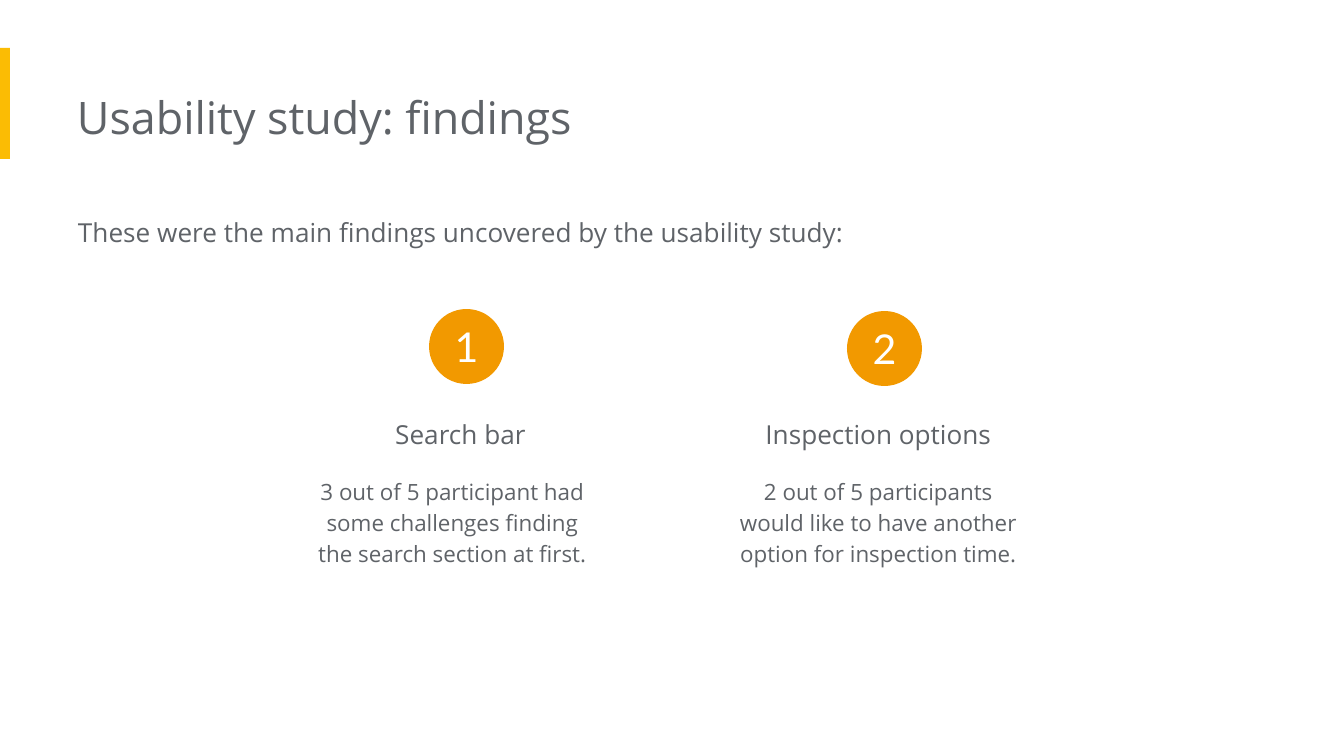
from pptx import Presentation
from pptx.dml.color import RGBColor
from pptx.enum.shapes import MSO_SHAPE
from pptx.enum.text import MSO_ANCHOR, MSO_AUTO_SIZE, PP_ALIGN
from pptx.util import Pt

RECTANGLE, OVAL = MSO_SHAPE.RECTANGLE, MSO_SHAPE.OVAL
TOP, MIDDLE = MSO_ANCHOR.TOP, MSO_ANCHOR.MIDDLE
LEFT, CENTER = PP_ALIGN.LEFT, PP_ALIGN.CENTER
GROW = MSO_AUTO_SIZE.SHAPE_TO_FIT_TEXT

EMU_PER_PX = 914400 / 134.4
TITLE_ONLY_LAYOUT = 5
INSET = 13
COLORS = {"accent": "FBBC04", "badge": "F29900", "text": "5F6368", "white": "FFFFFF"}
BODY_FONT, BADGE_FONT = "Open Sans", "Lato"

FINDINGS = [
    {
        "number": "1",
        "heading": "Search bar",
        "detail": "3 out of 5 participant had some challenges finding the search section at first.",
        "badge_at": (429, 309),
        "heading_left": 329,
        "detail_left": 313,
    },
    {
        "number": "2",
        "heading": "Inspection options",
        "detail": "2 out of 5 participants would like to have another option for inspection time.",
        "badge_at": (847, 311),
        "heading_left": 747,
        "detail_left": 739,
    },
]


def px(length):
    """Turn whole pixels into EMU."""
    return round(length * EMU_PER_PX)


def color(name):
    """Look up a named colour."""
    return RGBColor.from_string(COLORS[name])


def write(shape, text, size, align, font=BODY_FONT, ink="text", spacing=1.0):
    """Put one formatted run into the first paragraph of a shape."""
    paragraph = shape.text_frame.paragraphs[0]
    paragraph.alignment = align
    paragraph.line_spacing = spacing
    run = paragraph.add_run()
    run.text = text
    run.font.name = font
    run.font.size = Pt(size)
    run.font.color.rgb = color(ink)


def format_frame(shape, insets, anchor):
    """Set the insets, anchor and wrapping of a shape's text."""
    frame = shape.text_frame
    frame.word_wrap = True
    frame.vertical_anchor = anchor
    frame.margin_left, frame.margin_top, frame.margin_right, frame.margin_bottom = map(px, insets)
    return frame


def add_title(slide, text, box):
    """Place and fill the title placeholder."""
    title = slide.shapes.title
    title.left, title.top, title.width, title.height = map(px, box)
    format_frame(title, (0, INSET, INSET, INSET), TOP).auto_size = GROW
    write(title, text, 24, LEFT)


def add_text(slide, text, box, size, align, spacing):
    """Add a wrapped text box that grows with its text."""
    shape = slide.shapes.add_textbox(*map(px, box))
    format_frame(shape, (0, INSET, INSET, INSET), TOP).auto_size = GROW
    write(shape, text, size, align, spacing=spacing)


def add_solid(slide, kind, box, fill):
    """Add a filled preset shape without outline or shadow."""
    shape = slide.shapes.add_shape(kind, *map(px, box))
    shape.shadow.inherit = False
    shape.fill.solid()
    shape.fill.fore_color.rgb = color(fill)
    shape.line.fill.background()
    return shape


def add_finding(slide, finding):
    """Add a numbered badge with its heading and detail."""
    add_text(slide, finding["detail"], (finding["detail_left"], 461, 292, 117), 12, CENTER, 1.15)
    add_text(slide, finding["heading"], (finding["heading_left"], 390, 276, 59), 14, CENTER, 1.5)
    badge = add_solid(slide, OVAL, (*finding["badge_at"], 75, 75), "badge")
    format_frame(badge, (0, 0, 0, 0), MIDDLE)
    write(badge, finding["number"], 22, CENTER, BADGE_FONT, "white")


def main():
    """Build the usability findings slide."""
    presentation = Presentation()
    presentation.slide_width, presentation.slide_height = px(1344), px(756)
    slide = presentation.slides.add_slide(presentation.slide_layouts[TITLE_ONLY_LAYOUT])
    add_solid(slide, RECTANGLE, (0, 48, 10, 111), "accent")
    add_title(slide, "Usability study: findings", (77, 77, 904, 82))
    intro = "These were the main findings uncovered by the usability study:"
    add_text(slide, intro, (78, 199, 954, 95), 14, LEFT, 1.15)
    for finding in FINDINGS:
        add_finding(slide, finding)
    presentation.save("out.pptx")


if __name__ == "__main__":
    main()
